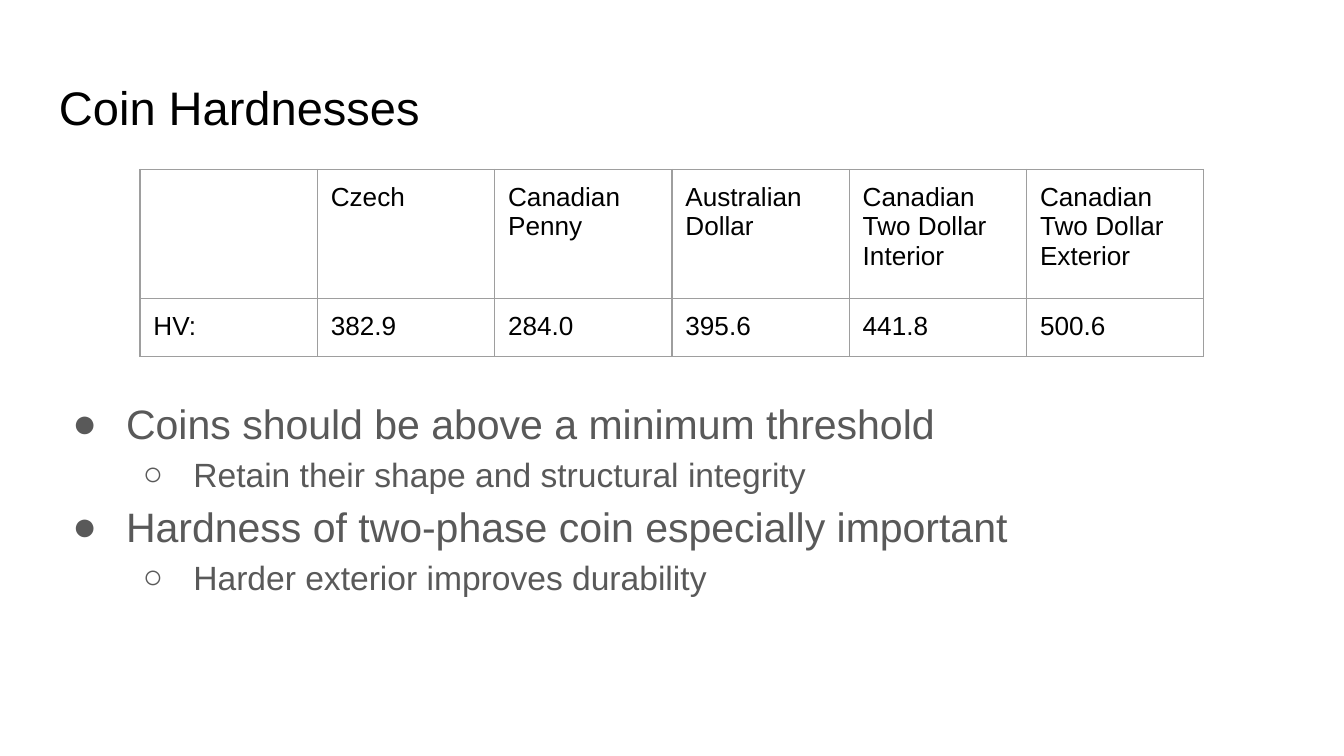
from lxml import etree
from pptx import Presentation
from pptx import util as u
from pptx.dml.color import RGBColor
from pptx.enum import text
from pptx.oxml import ns

Pt = u.Pt
BLACK = RGBColor(0x00, 0x00, 0x00)
GRAY = RGBColor(0x59, 0x59, 0x59)
BORDER = RGBColor(0x9E, 0x9E, 0x9E)
FONT = "Arial"
INSET = Pt(7.2)


def add_element(parent, tag, **attrs):
    return etree.SubElement(parent, ns.qn(tag), attrs)


class Deck:
    """Holds the slide style and the current slide."""

    def __init__(self, width, height):
        self.prs = Presentation()
        self.prs.slide_width, self.prs.slide_height = Pt(width), Pt(height)
        self.s = self.prs.slides.add_slide(self.prs.slide_layouts[6])

    def run(self, p, words, size, color):
        p.font.size = Pt(size)
        r = p.add_run()
        r.text = words
        r.font.name, r.font.size = FONT, Pt(size)
        r.font.color.rgb = color

    def box(self, x, y, w, h):
        tf = self.s.shapes.add_textbox(Pt(x), Pt(y), Pt(w), Pt(h)).text_frame
        tf.word_wrap = True
        tf.vertical_anchor = text.MSO_ANCHOR.TOP
        tf.margin_left = tf.margin_right = INSET
        tf.margin_top = tf.margin_bottom = INSET
        return tf

    def title(self, words, *at):
        self.run(self.box(*at).paragraphs[0], words, 25.2, BLACK)

    def bullets(self, items, *at):
        tf = self.box(*at)
        # size, bullet, hanging indent for each level
        levels = [(22, "●", 28.8), (18, "○", 27)]
        for i, (level, words) in enumerate(items):
            p = tf.paragraphs[0] if i == 0 else tf.add_paragraph()
            size, mark, hang = levels[level]
            p.level = level
            p.line_spacing = 1.15
            pPr = p._p.get_or_add_pPr()
            pPr.set("marL", str(Pt(36 * (level + 1))))
            pPr.set("indent", str(-Pt(hang)))
            add_element(add_element(pPr, "a:buClr"), "a:srgbClr", val=str(GRAY))
            add_element(pPr, "a:buFont", typeface=FONT)
            add_element(pPr, "a:buChar", char=mark)
            self.run(p, words, size, GRAY)

    def table(self, rows, x, y, col_width, heights):
        n = len(rows[0])
        t = self.s.shapes.add_table(len(rows), n, Pt(x), Pt(y),
                                    Pt(col_width * n), Pt(sum(heights))).table
        t.first_row = t.horz_banding = False
        for col in t.columns:
            col.width = Pt(col_width)
        for row, height, values in zip(t.rows, heights, rows):
            row.height = Pt(height)
            for cell, value in zip(row.cells, values):
                self.cell(cell, value)

    def cell(self, cell, value):
        cell.margin_left = cell.margin_right = INSET
        cell.margin_top = cell.margin_bottom = INSET
        tcPr = cell._tc.get_or_add_tcPr()
        for side in ("L", "R", "T", "B"):
            ln = add_element(tcPr, f"a:ln{side}", w=str(Pt(0.75)))
            add_element(add_element(ln, "a:solidFill"), "a:srgbClr", val=str(BORDER))
        cell.fill.background()
        p = cell.text_frame.paragraphs[0]
        if value:
            self.run(p, value, 14, BLACK)
        else:
            p.font.size = Pt(14)


def main():
    d = Deck(720, 405)

    # Title
    d.title("Coin Hardnesses", 24.5, 35, 671, 45)

    # Bullet list
    d.bullets([
        (0, "Coins should be above a minimum threshold"),
        (1, "Retain their shape and structural integrity"),
        (0, "Hardness of two-phase coin especially important"),
        (1, "Harder exterior improves durability"),
    ], 24.5, 202.5, 671, 157)

    # Hardness table
    d.table([
        ["", "Czech", "Canadian Penny", "Australian Dollar",
         "Canadian Two Dollar Interior", "Canadian Two Dollar Exterior"],
        ["HV:", "382.9", "284.0", "395.6", "441.8", "500.6"],
    ], 75, 90.75, 95, [69.25, 30.25])

    d.prs.save("out.pptx")


if __name__ == "__main__":
    main()
